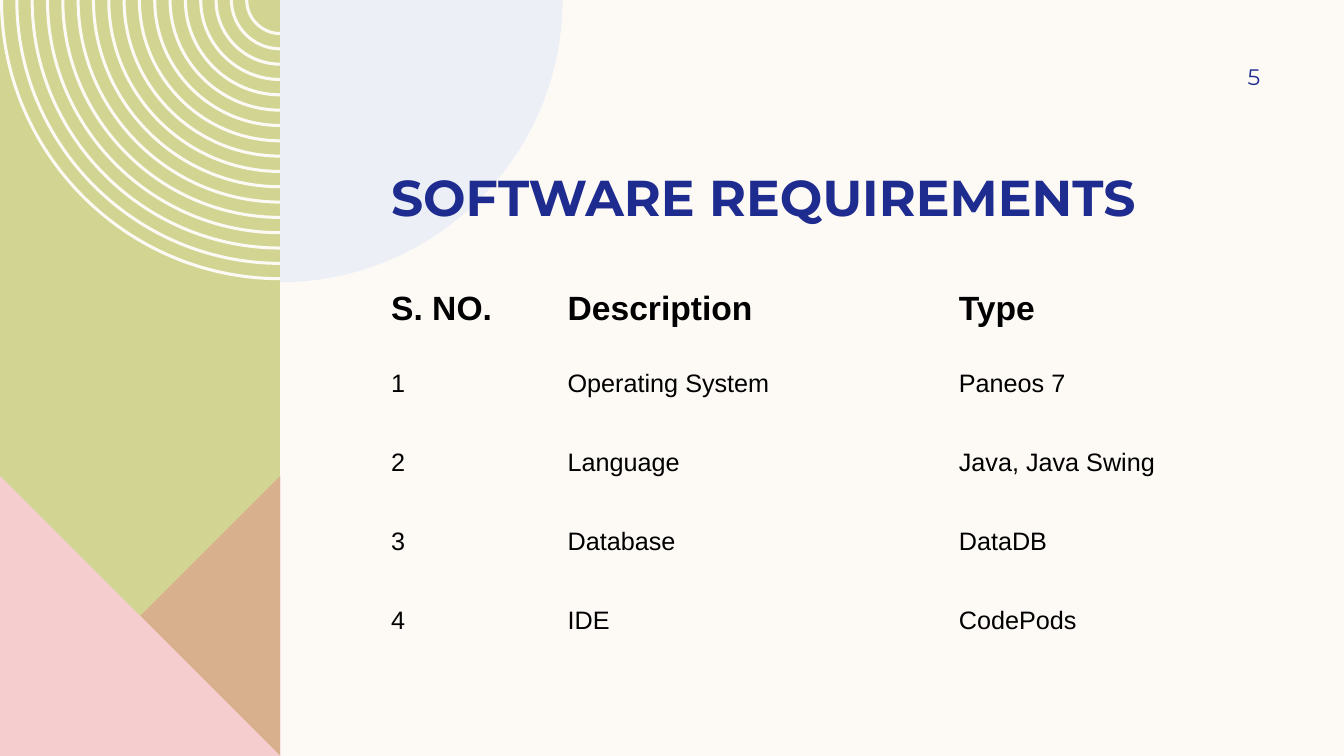
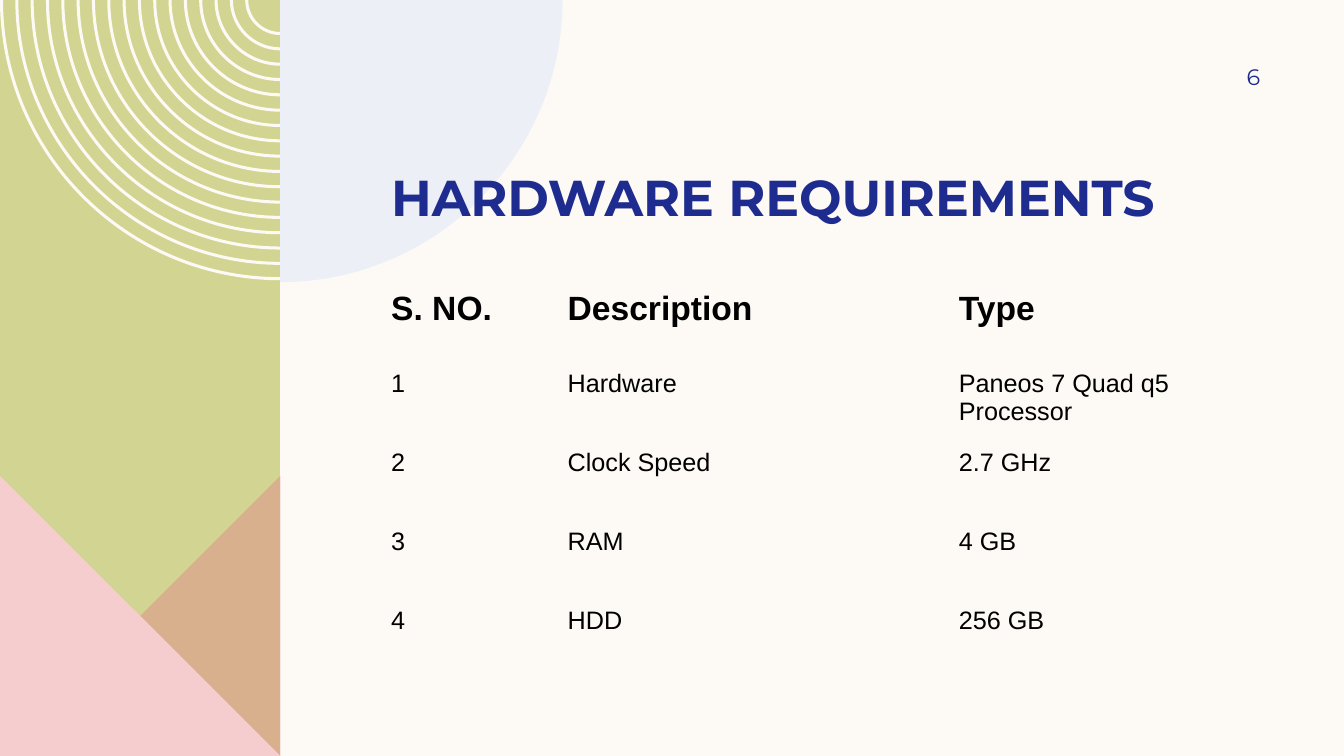
from lxml.etree import SubElement
from pptx import Presentation
from pptx.dml.color import RGBColor
from pptx.enum.text import MSO_ANCHOR, PP_ALIGN
from pptx.oxml.ns import qn
from pptx.util import Inches, Pt

CREAM = RGBColor(0xFD, 0xFA, 0xF6)
GREEN = RGBColor(0xD2, 0xD5, 0x92)
ROSE = RGBColor(0xDE, 0x8C, 0x8C)
PINK = RGBColor(0xF5, 0xCD, 0xCE)
PALE_BLUE = RGBColor(0xDD, 0xE7, 0xF6)
NAVY = RGBColor(0x1F, 0x2C, 0x8F)
BLACK = RGBColor(0x00, 0x00, 0x00)

TITLE = {"name": "Montserrat", "size": Pt(36), "bold": True}
NUMBER = {"name": "Montserrat", "size": Pt(16), "bold": False}
HEADER = {"name": "Arial", "size": Pt(24), "bold": True}
BODY = {"name": "Arial", "size": Pt(18), "bold": False}

SLIDE_W, SLIDE_H = 13.33, 7.5
BAND_W = 2.78
RING_COUNT, RING_STEP, RING_WIDTH = 17, 0.152, 0.03
ARC_PULL = 0.55
NO_GRID_STYLE = "{2D5ABB26-0587-4C30-8999-92F81FD0307C}"

COLUMNS = ["S. NO.", "Description", "Type"]
COLUMN_WIDTHS = [1.75, 3.88, 2.82]
SLIDES = [
    ("SOFTWARE REQUIREMENTS", "5", [
        ("Operating System", "Paneos 7"),
        ("Language", "Java, Java Swing"),
        ("Database", "DataDB"),
        ("IDE", "CodePods"),
    ]),
    ("HARDWARE REQUIREMENTS", "6", [
        ("Hardware", "Paneos 7 Quad q5 Processor"),
        ("Clock Speed", "2.7 GHz"),
        ("RAM", "4 GB"),
        ("HDD", "256 GB"),
    ]),
]


def quarter_arc(cx, cy, rx, ry):
    return [(cx + rx, cy), (cx + rx, cy + ARC_PULL * ry),
            (cx + ARC_PULL * rx, cy + ry), (cx, cy + ry)]


def bend(sp):
    for close in list(sp._element.iter(qn("a:close"))):
        lines = []
        node = close.getprevious()
        while node.tag == qn("a:lnTo"):
            lines.insert(0, node)
            node = node.getprevious()
        for first in range(0, len(lines), 4):
            group = lines[first:first + 3]
            curve = SubElement(close.getparent(), qn("a:cubicBezTo"))
            group[0].addprevious(curve)
            for line in group:
                curve.append(line[0])
                line.getparent().remove(line)


def add_outline(s, contours, color, alpha=None, curved=False):
    contours = [[(Inches(x), Inches(y)) for x, y in c] for c in contours]
    builder = s.shapes.build_freeform(*contours[0][0])
    for i, points in enumerate(contours):
        if i:
            builder.move_to(*points[0])
        builder.add_line_segments(points[1:], close=True)
    sp = builder.convert_to_shape()
    if curved:
        bend(sp)
    sp.shadow.inherit = False
    sp.line.fill.background()
    sp.fill.solid()
    sp.fill.fore_color.rgb = color
    if alpha is not None:
        clr = sp._element.spPr.find(qn("a:solidFill"))[0]
        SubElement(clr, qn("a:alpha"), val=str(alpha * 1000))


def write(tf, text, style, color, align=PP_ALIGN.LEFT):
    p = tf.paragraphs[0]
    p.alignment = align
    r = p.add_run()
    r.text = text
    for name, value in style.items():
        setattr(r.font, name, value)
    r.font.color.rgb = color


def add_text(s, x, y, w, h, text, style, frame, align=PP_ALIGN.LEFT):
    tf = s.shapes.add_textbox(Inches(x), Inches(y), Inches(w), Inches(h)).text_frame
    tf.word_wrap = True
    for name, value in frame.items():
        setattr(tf, name, value)
    write(tf, text, style, NAVY, align)


def add_band(s, x, y, w, h):
    right, bottom = x + w, y + h
    add_outline(s, [[(x, y), (right, y), (right, bottom), (x, bottom)]], GREEN)
    rings = []
    for i in range(RING_COUNT):
        outer = w - i * RING_STEP
        inner = outer - RING_WIDTH
        rings.append(quarter_arc(right, y, -outer, outer)
                     + quarter_arc(right, y, -inner, inner)[::-1])
    add_outline(s, rings, CREAM, curved=True)
    top = bottom - w
    add_outline(s, [[(right, top), (right, bottom), (x, bottom)]], ROSE, 50)
    add_outline(s, [[(x, top), (right, bottom), (x, bottom)]], PINK)


def add_quarter_disc(s, x, y, radius):
    disc = quarter_arc(x, y, radius, radius) + [(x, y)]
    add_outline(s, [disc], PALE_BLUE, 50, curved=True)


def add_requirements_table(s, x, y, w, h, items):
    rows = [COLUMNS] + [(str(i), *item) for i, item in enumerate(items, 1)]
    frame = s.shapes.add_table(len(rows), len(COLUMNS),
                               Inches(x), Inches(y), Inches(w), Inches(h))
    table = frame.table
    table.first_row = table.horz_banding = False
    table._tbl.tblPr.find(qn("a:tableStyleId")).text = NO_GRID_STYLE
    for column, width in zip(table.columns, COLUMN_WIDTHS):
        column.width = Inches(width)
    for i, values in enumerate(rows):
        table.rows[i].height = Inches(h / len(rows))
        for j, value in enumerate(values):
            cell = table.cell(i, j)
            cell.fill.solid()
            cell.fill.fore_color.rgb = CREAM
            write(cell.text_frame, value, BODY if i else HEADER, BLACK)


def add_requirements_slide(prs, title, number, items):
    s = prs.slides.add_slide(prs.slide_layouts[6])
    add_band(s, 0, 0, BAND_W, SLIDE_H)
    add_quarter_disc(s, BAND_W, 0, 2.8)
    add_text(s, 3.78, 1.16, 8.71, 1.09, title, TITLE,
             {"vertical_anchor": MSO_ANCHOR.BOTTOM, "margin_top": 0, "margin_bottom": 0})
    add_text(s, 11.33, 0.5, 1.17, 0.52, number, NUMBER,
             {"vertical_anchor": MSO_ANCHOR.MIDDLE, "margin_right": 0}, PP_ALIGN.RIGHT)
    add_requirements_table(s, 3.78, 2.83, sum(COLUMN_WIDTHS), 3.92, items)


def main():
    prs = Presentation()
    prs.slide_width, prs.slide_height = Inches(SLIDE_W), Inches(SLIDE_H)
    fill = prs.slide_master.background.fill
    fill.solid()
    fill.fore_color.rgb = CREAM
    for title, number, items in SLIDES:
        add_requirements_slide(prs, title, number, items)
    prs.save("out.pptx")


if __name__ == "__main__":
    main()
